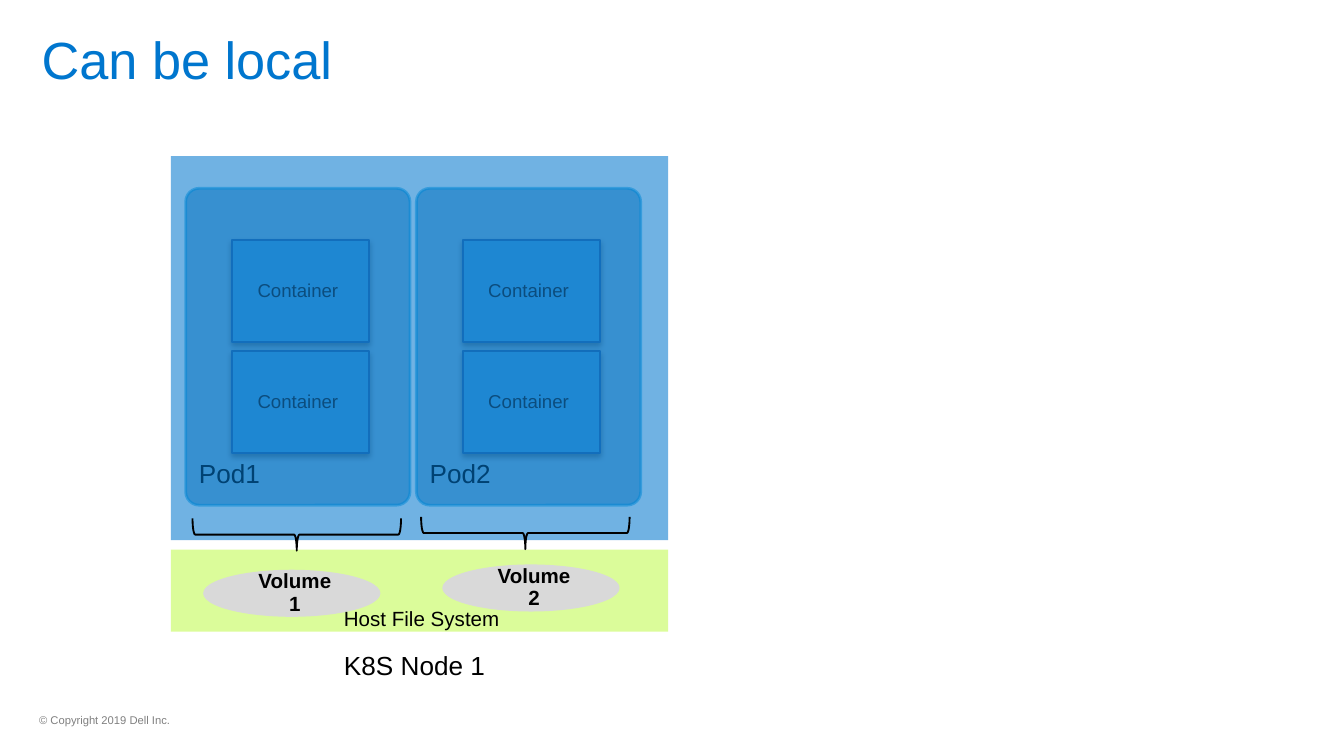
from dataclasses import dataclass

from lxml.etree import SubElement as Sub
from pptx import Presentation
from pptx.dml.color import RGBColor as Rgb
from pptx.enum.shapes import MSO_SHAPE as Kind
from pptx.enum.text import MSO_ANCHOR as Anchor, PP_ALIGN as Align
from pptx.oxml.ns import qn
from pptx.util import Cm, Pt


@dataclass(frozen=True)
class Theme:
    font: str = "Arial"
    blue: str = "0076CE"
    pod: str = "0066AB"
    rim: str = "009FDF"
    tile: str = "469DD9"
    edge: str = "2B65A6"
    lime: str = "B9FA36"
    disk: str = "D9D9D9"
    ink: str = "000000"
    soft: str = "1A1A1A"
    gray: str = "808080"
    title: int = 28
    head: int = 14
    body: int = 11
    small: int = 10
    foot: int = 6


T = Theme()


def fade(fill, pct):
    """Make a solid fill or line colour partly opaque."""
    for tone in fill._xPr.iter(qn("a:srgbClr")):
        Sub(tone, qn("a:alpha"), val=str(pct * 1000))


def shade(shape):
    """Give a shape a soft shadow straight below it."""
    fx = shape._element.spPr.find(qn("a:effectLst"))
    cast = Sub(fx, qn("a:outerShdw"), blurRad=str(Pt(3)), dist=str(Pt(1.8)),
               dir="5400000", rotWithShape="0")
    tone = Sub(cast, qn("a:srgbClr"), val=T.ink)
    Sub(tone, qn("a:alpha"), val="35000")


def draw(shapes, kind, box, fill=None, alpha=100, line=None, width=1):
    shape = shapes.add_shape(kind, *map(Cm, box))
    shape.shadow.inherit = False
    if fill:
        shape.fill.solid()
        shape.fill.fore_color.rgb = Rgb.from_string(fill)
        if alpha < 100:
            fade(shape.fill, alpha)
    else:
        shape.fill.background()
    if line:
        shape.line.color.rgb = Rgb.from_string(line)
        shape.line.width = Pt(width)
        if fill and alpha < 100:
            fade(shape.line.fill, alpha)
    else:
        shape.line.fill.background()
    return shape


def write(shape, text, size, color, pad=(0.25, 0.13, 0.25, 0.13),
          anchor=Anchor.TOP, align=Align.LEFT, wrap=True, bold=False, lead=None):
    frame = shape.text_frame
    frame.word_wrap = wrap
    frame.vertical_anchor = anchor
    (frame.margin_left, frame.margin_top,
     frame.margin_right, frame.margin_bottom) = map(Cm, pad)
    para = frame.paragraphs[0]
    para.text = text
    para.alignment = align
    para.line_spacing = lead
    font = para.font
    font.name, font.size, font.bold = T.font, Pt(size), bold
    font.color.rgb = Rgb.from_string(color)


def label(shapes, box, text, size, color, **style):
    write(shapes.add_textbox(*map(Cm, box)), text, size, color, **style)


def pod(shapes, box, name):
    """A pod with two containers and its name at the lower left."""
    x, y, w, h = box
    parts = shapes.add_group_shape().shapes
    body = draw(parts, Kind.ROUNDED_RECTANGLE, box, T.pod, 50, T.rim, 1.5)
    body.adjustments[0] = 0.06
    pad = (0.25,) * 4
    for top in (y + 3.07, y + 0.97):
        tile = draw(parts, Kind.RECTANGLE, (x + 0.88, top, 2.59, 1.93),
                    T.tile, line=T.edge)
        shade(tile)
        label(parts, (x + 0.33, top + 0.49, w - 0.66, 0.94), "Container",
              T.small, T.soft, pad=pad, anchor=Anchor.MIDDLE, align=Align.CENTER)
    label(parts, (x, y + 4.83, 1.83, 2), name, T.head, T.ink, pad=pad)


def volume(shapes, box, name):
    disk = draw(shapes, Kind.OVAL, box, T.disk)
    write(disk, name, T.body, T.ink, pad=(0.5, 0.38, 0.38, 0.38),
          anchor=Anchor.MIDDLE, align=Align.CENTER, bold=True, lead=0.9)


def brace(shapes, box):
    """A brace that fills the box and points down."""
    x, y, w, h = box
    turned = (x + (w - h) / 2, y + (h - w) / 2, h, w)
    draw(shapes, Kind.LEFT_BRACE, turned, line=T.ink).rotation = 270


def node(shapes, box):
    """The node: pods under a tint, then the host disk with its volumes."""
    x, y, w, h = box
    for i in (1, 0):
        pod(shapes, (x + 0.28 + i * 4.36, y + 0.61, 4.24, 5.99), f"Pod{i + 1}")
    draw(shapes, Kind.RECTANGLE, (x, y, w, 7.26), T.blue, 56)
    label(shapes, (x + 3.02, y + 9.19, 3.23, 0.86), "K8S Node 1", T.head, T.ink)
    draw(shapes, Kind.RECTANGLE, (x, y + 7.44, w, 1.55), T.lime, 50)
    for i, (left, top) in enumerate([(0.61, 7.82), (5.13, 7.72)], 1):
        volume(shapes, (x + left, y + top, 3.35, 0.89), f"Volume{i}")
    for left, top in [(0.41, 6.85), (4.73, 6.82)]:
        brace(shapes, (x + left, y + top, 3.94, 0.61))
    label(shapes, (x + 3.02, y + 8.38, 3.53, 0.74), "Host File System",
          T.body, T.ink)


def main():
    deck = Presentation()
    deck.slide_width, deck.slide_height = Cm(25.4), Cm(14.29)
    shapes = deck.slides.add_slide(deck.slide_layouts[6]).shapes
    flat = (0,) * 4

    # Footer and title
    label(shapes, (0.74, 13.51, 2.51, 0.23), "© Copyright 2019 Dell Inc.",
          T.foot, T.gray, pad=flat, anchor=Anchor.MIDDLE, wrap=False, lead=0.9)
    label(shapes, (0.79, 0.64, 23.83, 1.07), "Can be local",
          T.title, T.blue, pad=flat, lead=0.9)

    # Diagram
    node(shapes, (3.23, 2.95, 9.4, 10.05))
    deck.save("out.pptx")


if __name__ == "__main__":
    main()
